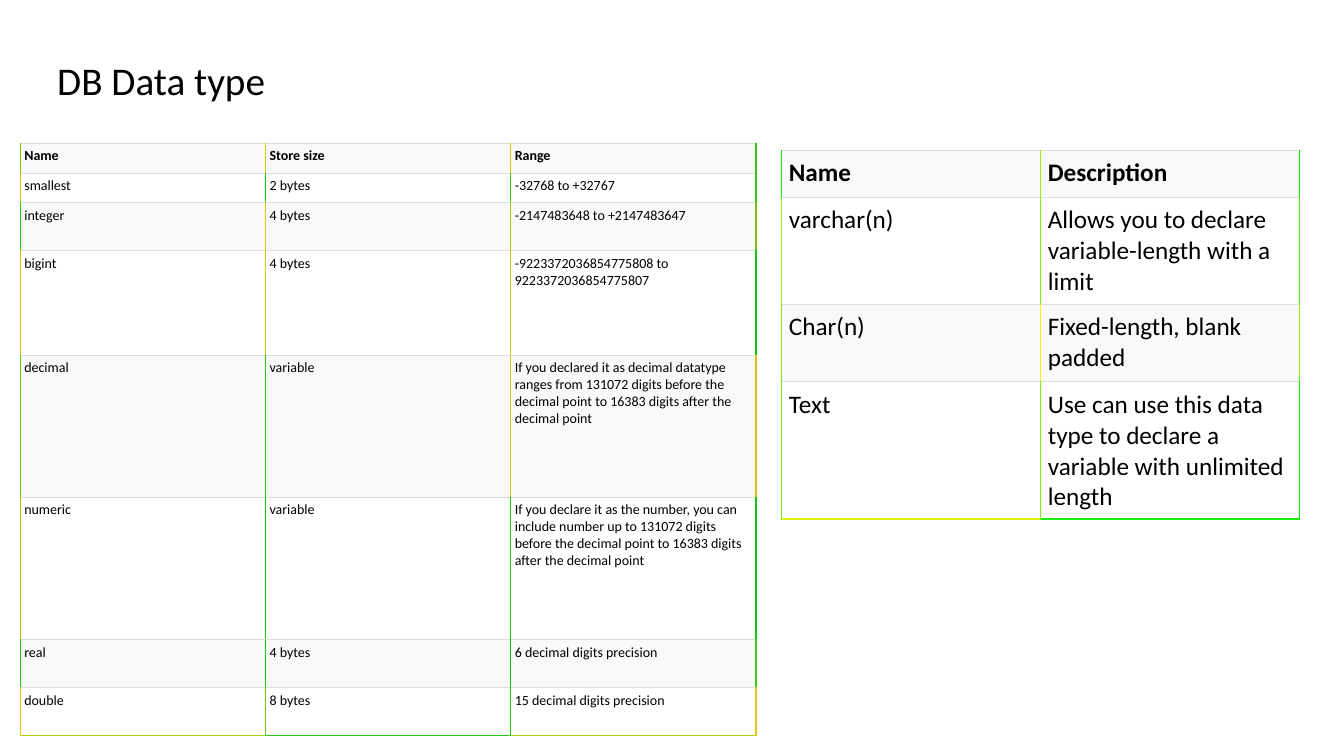
"""Build the DB Data type slide: a title and two bordered type tables."""
from lxml.etree import fromstring
from pptx import Presentation
from pptx.dml.color import RGBColor as Color
from pptx.enum.text import MSO_AUTO_SIZE as AutoSize
from pptx.oxml.ns import nsdecls
from pptx.util import Pt

COLORS = {"text": "000000", "band": "F9F9F9", "plain": "FFFFFF", "rule": "DDDDDD"}


def write(frame, text, size, bold=False):
    span = frame.paragraphs[0].add_run()
    span.text = text
    font_format = {"name": "Calibri", "size": Pt(size), "bold": bold}
    for name, value in font_format.items():
        setattr(span.font, name, value)
    span.font.color.rgb = Color.from_string(COLORS["text"])


def draw_borders(cell, borders):
    properties = cell._tc.get_or_add_tcPr()
    for index, (side, color, width) in enumerate(borders):
        line = fromstring(
            f'<a:ln{side} {nsdecls("a")} w="{Pt(width)}" cap="flat" cmpd="sng" algn="ctr">'
            f'<a:solidFill><a:srgbClr val="{color}"/></a:solidFill>'
            f'<a:prstDash val="solid"/></a:ln{side}>')
        properties.insert(index, line)


deck = Presentation()
deck.slide_width, deck.slide_height = Pt(960), Pt(540)
page = deck.slides.add_slide(deck.slide_layouts[6])

box = page.shapes.add_textbox(Pt(33.8), Pt(36.7), Pt(164.9), Pt(41))
box.text_frame.word_wrap = False
box.text_frame.auto_size = AutoSize.SHAPE_TO_FIT_TEXT
write(box.text_frame, "DB Data type", 28)

text_types = {
    "place": (558, 107.3), "column": 185, "size": 18, "inset": 5.5,
    "bottoms": ["E0EF0E", "18EE0E"],
    "rows": [
        (33.5, ["08EF0E", "98EF0E", "08EF0E"], ["Name", "Description"]),
        (76.5, ["A0ED0E", "80EF0E", "68EF0E"],
         ["varchar(n)", "Allows you to declare variable-length with a limit"]),
        (55.5, ["80EF0E", "F8EF0E", "90EE0E"], ["Char(n)", "Fixed-length, blank padded"]),
        (98, ["70F00E", "80EF0E", "08EF0E"],
         ["Text", "Use can use this data type to declare a variable with unlimited length"]),
    ],
}
number_types = {
    "place": (14.4, 102.2), "column": 175.2, "size": 10, "inset": 3,
    "bottoms": ["B0C80E", "20C80E", "B0C80E"],
    "rows": [
        (21.4, ["78C40E", "D8C70E", "E8C60E", "38C50E"], ["Name", "Store size", "Range"]),
        (21.4, ["D8C70E", "10C90E", "40C90E", "30C40E"],
         ["smallest", "2 bytes", "-32768 to +32767"]),
        (34.3, ["20C80E", "E0C80E", "B0C80E", "78C40E"],
         ["integer", "4 bytes", "-2147483648 to +2147483647"]),
        (74.5, ["D8C70E", "D8C70E", "D8C70E", "10C60E"],
         ["bigint", "4 bytes", "-9223372036854775808 to 9223372036854775807"]),
        (101.6, ["68C80E", "20C80E", "D8C70E", "D8C40E"],
         ["decimal", "variable",
          "If you declared it as decimal datatype ranges from 131072 digits before the "
          "decimal point to 16383 digits after the decimal point"]),
        (101.6, ["B0C80E", "18C70E", "20C80E", "10C60E"],
         ["numeric", "variable",
          "If you declare it as the number, you can include number up to 131072 digits "
          "before the decimal point to 16383 digits after the decimal point"]),
        (34.3, ["18C70E", "18C70E", "00C70E", "40C90E"],
         ["real", "4 bytes", "6 decimal digits precision"]),
        (34.3, ["E8C60E", "68C80E", "20C80E", "E0C80E"],
         ["double", "8 bytes", "15 decimal digits precision"]),
    ],
}

for types in (text_types, number_types):
    rows, bottoms = types["rows"], types["bottoms"]
    left, top = types["place"]
    width = types["column"] * len(bottoms)
    height = sum(row[0] for row in rows)
    table = page.shapes.add_table(
        len(rows), len(bottoms), Pt(left), Pt(top), Pt(width), Pt(height)).table
    table.first_row = table.horz_banding = False
    for column in table.columns:
        column.width = Pt(types["column"])
    for row_index, (row_height, edges, texts) in enumerate(rows):
        table.rows[row_index].height = Pt(row_height)
        is_last = row_index == len(rows) - 1
        for column_index, text in enumerate(texts):
            cell = table.cell(row_index, column_index)
            for side in ("left", "right", "top", "bottom"):
                setattr(cell, f"margin_{side}", Pt(types["inset"]))
            cell.fill.solid()
            shade = COLORS["plain" if row_index % 2 else "band"]
            cell.fill.fore_color.rgb = Color.from_string(shade)
            write(cell.text_frame, text, types["size"], row_index == 0)
            bottom = (bottoms[column_index], 1) if is_last else (COLORS["rule"], 0.75)
            draw_borders(cell, [
                ("L", edges[column_index], 1), ("R", edges[column_index + 1], 1),
                ("T", COLORS["rule"], 0.75), ("B", *bottom)])

deck.save("out.pptx")
